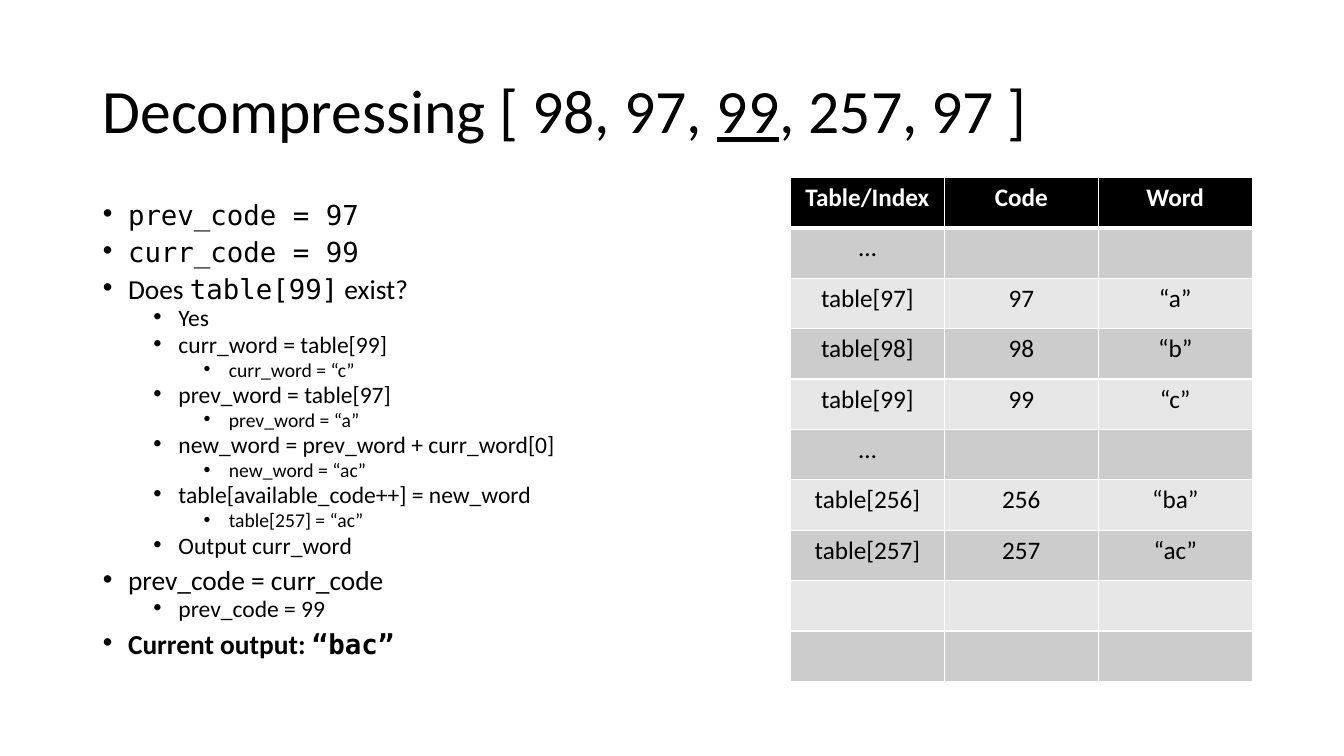
from lxml import etree
from pptx import Presentation
from pptx.dml.color import RGBColor
from pptx.enum.text import MSO_ANCHOR, MSO_AUTO_SIZE, PP_ALIGN
from pptx.oxml.ns import qn
from pptx.util import Inches, Pt

LEFT, CENTER = PP_ALIGN.LEFT, PP_ALIGN.CENTER
TOP, MIDDLE = MSO_ANCHOR.TOP, MSO_ANCHOR.MIDDLE
NO_AUTOFIT = MSO_AUTO_SIZE.NONE

TEXT_FONT, CODE_FONT = "Calibri", "DejaVu Sans Mono"
BLACK, WHITE = "000000", "FFFFFF"
BAND_COLORS = ("E7E7E7", "CCCCCC")

# Each step: level, bold, runs of (text, font)
STEPS = [
    (0, False, [("prev_code = 97", CODE_FONT)]),
    (0, False, [("curr_code = 99", CODE_FONT)]),
    (0, False, [("Does ", TEXT_FONT), ("table[99]", CODE_FONT), (" exist?", TEXT_FONT)]),
    (1, False, [("Yes", TEXT_FONT)]),
    (1, False, [("curr_word = table[99]", TEXT_FONT)]),
    (2, False, [("curr_word = “c”", TEXT_FONT)]),
    (1, False, [("prev_word = table[97]", TEXT_FONT)]),
    (2, False, [("prev_word = “a”", TEXT_FONT)]),
    (1, False, [("new_word = prev_word + curr_word[0]", TEXT_FONT)]),
    (2, False, [("new_word = “ac”", TEXT_FONT)]),
    (1, False, [("table[available_code++] = new_word", TEXT_FONT)]),
    (2, False, [("table[257] = “ac”", TEXT_FONT)]),
    (1, False, [("Output curr_word", TEXT_FONT)]),
    (0, False, [("prev_code = curr_code", TEXT_FONT)]),
    (1, False, [("prev_code = 99", TEXT_FONT)]),
    (0, True, [("Current output: ", TEXT_FONT), ("“bac”", CODE_FONT)]),
]

CODE_TABLE = [
    ("Table/Index", "Code", "Word"),
    ("…", "", ""),
    ("table[97]", "97", "“a”"),
    ("table[98]", "98", "“b”"),
    ("table[99]", "99", "“c”"),
    ("…", "", ""),
    ("table[256]", "256", "“ba”"),
    ("table[257]", "257", "“ac”"),
    ("", "", ""),
    ("", "", ""),
]


def rgb(color):
    return RGBColor.from_string(color)


class SlideBuilder:
    level_sizes = (19.6, 16.8, 14)

    def __init__(self, presentation):
        self.slide = presentation.slides.add_slide(presentation.slide_layouts[1])

    def place(self, shape, left, top, width, height, anchor):
        """Move a placeholder and return its text frame."""
        shape.left, shape.top = Inches(left), Inches(top)
        shape.width, shape.height = Inches(width), Inches(height)
        frame = shape.text_frame
        frame.word_wrap = True
        frame.auto_size = NO_AUTOFIT
        frame.vertical_anchor = anchor
        return frame

    def style(self, paragraph, size, color=BLACK, bold=False, name=TEXT_FONT):
        font = paragraph.font
        font.name, font.size, font.bold = name, Pt(size), bold
        font.color.rgb = rgb(color)

    def add_bullet(self, paragraph, level):
        properties = paragraph._p.get_or_add_pPr()
        properties.set("marL", str(Inches(0.25 + 0.5 * level)))
        properties.set("indent", str(Inches(-0.25)))
        etree.SubElement(properties, qn("a:buFont")).set("typeface", "Arial")
        etree.SubElement(properties, qn("a:buChar")).set("char", "•")

    def add_title(self, runs):
        """Fill the title from (text, underlined) pairs."""
        frame = self.place(self.slide.shapes.title, 0.92, 0.4, 11.5, 1.45, MIDDLE)
        paragraph = frame.paragraphs[0]
        paragraph.alignment = LEFT
        paragraph.line_spacing = 0.9
        self.style(paragraph, 44)
        for text, underlined in runs:
            run = paragraph.add_run()
            run.text = text
            run.font.underline = underlined

    def add_steps(self, steps):
        frame = self.place(self.slide.placeholders[1], 0.92, 2, 6.36, 4.76, TOP)
        for index, (level, bold, runs) in enumerate(steps):
            paragraph = frame.add_paragraph() if index else frame.paragraphs[0]
            paragraph.level = level
            paragraph.line_spacing = 0.7
            paragraph.space_before = Pt(5 if level else 10)
            self.add_bullet(paragraph, level)
            self.style(paragraph, self.level_sizes[level], bold=bold, name=runs[0][1])
            for text, font_name in runs:
                run = paragraph.add_run()
                run.text = text
                if len(runs) > 1:
                    run.font.name = font_name

    def add_borders(self, cell, top, bottom):
        """Draw white borders, with top and bottom widths in points."""
        properties = cell._tc.get_or_add_tcPr()
        for tag, width in (("lnL", 1), ("lnR", 1), ("lnT", top), ("lnB", bottom)):
            line = etree.SubElement(properties, qn(f"a:{tag}"), w=str(Pt(width)))
            fill = etree.SubElement(line, qn("a:solidFill"))
            etree.SubElement(fill, qn("a:srgbClr"), val=WHITE)

    def add_table(self, rows):
        shape = self.slide.shapes.add_table(
            len(rows), len(rows[0]), Inches(7.84), Inches(1.76), Inches(4.58), Inches(5))
        table = shape.table
        table.horz_banding = False
        for row_index, row in enumerate(rows):
            header = row_index == 0
            for column_index, text in enumerate(row):
                cell = table.cell(row_index, column_index)
                self.add_borders(cell, 3 if row_index == 1 else 1, 3 if header else 1)
                cell.fill.solid()
                cell.fill.fore_color.rgb = rgb(BLACK if header else BAND_COLORS[row_index % 2])
                if text:
                    cell.text = text
                    paragraph = cell.text_frame.paragraphs[0]
                    paragraph.alignment = CENTER
                    self.style(paragraph, 18, WHITE if header else BLACK, header)


def main():
    presentation = Presentation()
    presentation.slide_width, presentation.slide_height = Inches(13.33), Inches(7.5)
    builder = SlideBuilder(presentation)
    builder.add_title([("Decompressing [ 98, 97, ", False), ("99", True), (", 257, 97 ]", False)])
    builder.add_steps(STEPS)
    builder.add_table(CODE_TABLE)
    presentation.save("out.pptx")


if __name__ == "__main__":
    main()
